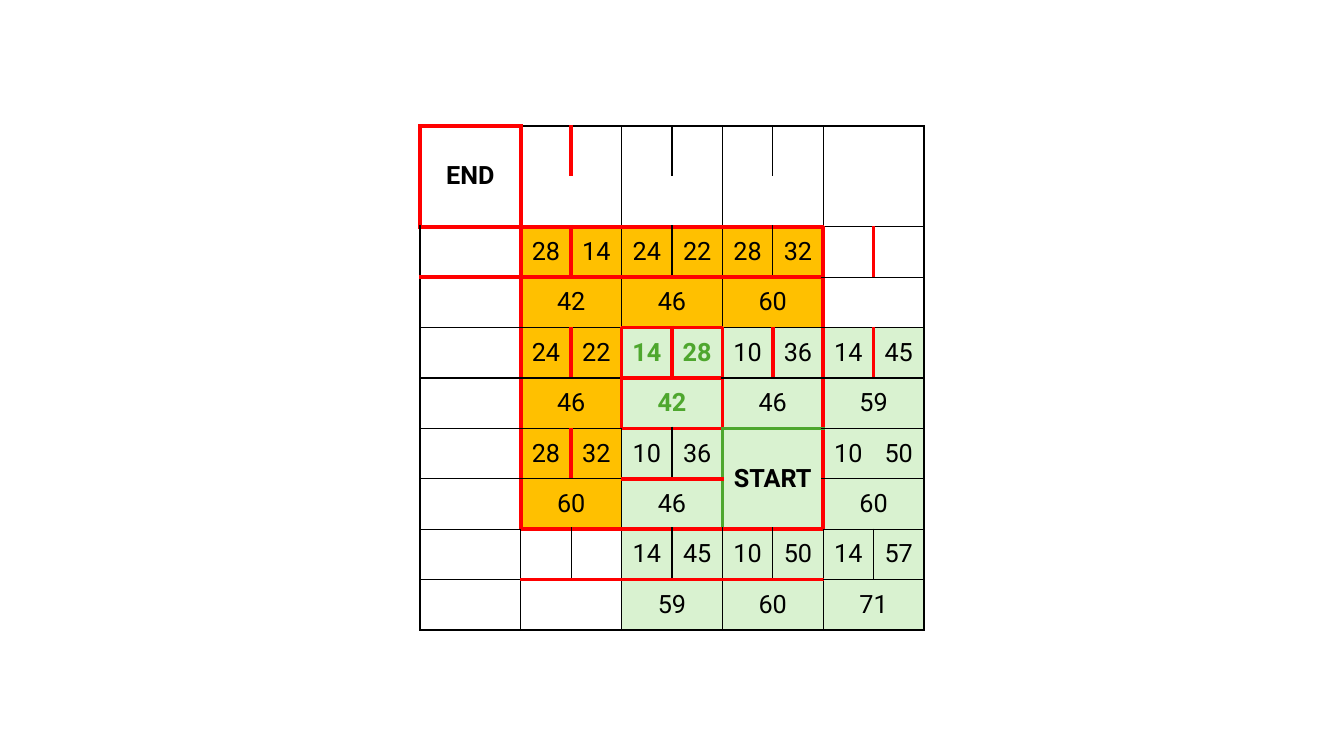
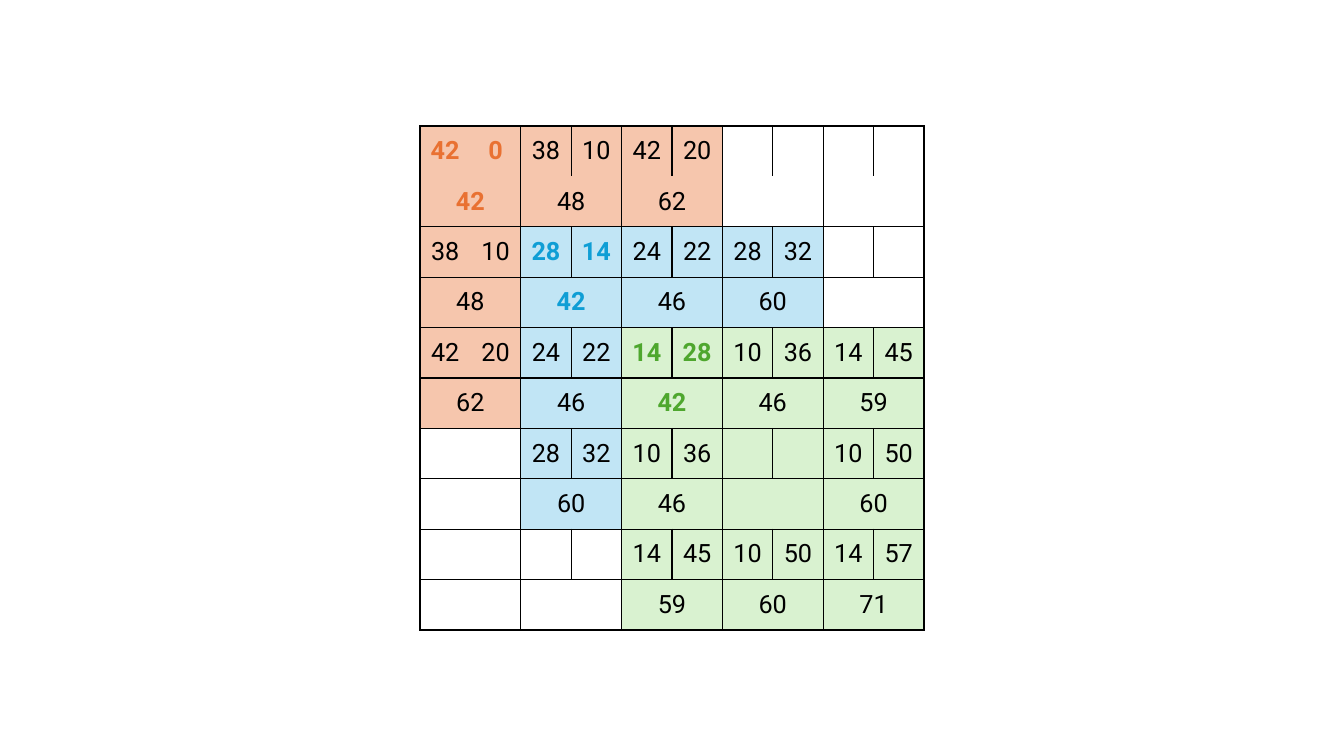
from collections import defaultdict
from dataclasses import dataclass, field

from lxml import etree
from pptx import Presentation
from pptx import util as u
from pptx.dml.color import RGBColor
from pptx.enum import text
from pptx.oxml import ns

BLACK, RED, GREEN = "000000", "FF0000", "4EA72E"
FONT = "Roboto"
TEXT_SIZE = 18
TILES = 5
CELL = 36
SIDE = TILES * 2 * CELL
SLIDE_W, SLIDE_H = 960, 540
START_POS, END_POS = (3, 3), (0, 0)
PLAIN_STYLE = "{2D5ABB26-0587-4C30-8999-92F81FD0307C}"


@dataclass
class Wave:
    fill: str
    scores: dict
    chosen: tuple | None = None
    accent: str = BLACK


@dataclass
class Tile:
    fill: str | None = None
    scores: tuple | None = None
    label: str = ""
    color: str = BLACK
    bold: bool = False


@dataclass
class Frame:
    row: int
    col: int
    span: int = 1
    color: str = BLACK
    width: float = 1


@dataclass
class Board:
    waves: list
    labels: dict = field(default_factory=dict)
    frames: list = field(default_factory=list)


FIRST_SCORES = {
    (2, 2): (14, 28), (2, 3): (10, 36), (2, 4): (14, 45),
    (3, 2): (10, 36), (3, 4): (10, 50),
    (4, 2): (14, 45), (4, 3): (10, 50), (4, 4): (14, 57),
}
SECOND_SCORES = {
    (1, 1): (28, 14), (1, 2): (24, 22), (1, 3): (28, 32),
    (2, 1): (24, 22), (3, 1): (28, 32),
}
THIRD_SCORES = {
    (0, 0): (42, 0), (0, 1): (38, 10), (0, 2): (42, 20),
    (1, 0): (38, 10), (2, 0): (42, 20),
}
FIRST_WAVE = Wave("D9F2D0", FIRST_SCORES, (2, 2), GREEN)

BOARDS = [
    Board(
        [FIRST_WAVE, Wave("FFC000", SECOND_SCORES)],
        {START_POS: "START", END_POS: "END"},
        [
            Frame(*START_POS, color=GREEN, width=3),
            Frame(2, 2, color=RED, width=3),
            Frame(1, 1, span=3, color=RED, width=3),
            Frame(*END_POS, color=RED, width=3),
        ],
    ),
    Board([
        FIRST_WAVE,
        Wave("C1E5F5", SECOND_SCORES, (1, 1), "0F9ED5"),
        Wave("F6C6AD", THIRD_SCORES, (0, 0), "E97132"),
    ]),
]


def rgb(color: str) -> RGBColor:
    return RGBColor.from_string(color)


def write(cell, content: str, *, color: str = BLACK, bold: bool = False) -> None:
    cell.vertical_anchor = text.MSO_ANCHOR.MIDDLE
    p = cell.text_frame.paragraphs[0]
    p.alignment = text.PP_ALIGN.CENTER
    r = p.add_run()
    r.text = content
    r.font.name = FONT
    r.font.size = u.Pt(TEXT_SIZE)
    r.font.bold = bold
    r.font.color.rgb = rgb(color)


def style_cell(cell, fill: str | None, borders: dict) -> None:
    tc_pr = cell._tc.get_or_add_tcPr()
    for side in "LRTB":
        if side in borders:
            color, width = borders[side]
            ln = etree.SubElement(tc_pr, ns.qn(f"a:ln{side}"), w=str(u.Pt(width)))
            solid = etree.SubElement(ln, ns.qn("a:solidFill"))
            etree.SubElement(solid, ns.qn("a:srgbClr"), val=color)
    if fill:
        cell.fill.solid()
        cell.fill.fore_color.rgb = rgb(fill)
    else:
        cell.fill.background()


def frame_edges(frames: list) -> dict:
    edges = defaultdict(dict)
    for f in frames:
        line = (f.color, f.width)
        last_row, last_col = f.row + f.span - 1, f.col + f.span - 1
        for i in range(f.span):
            row, col = f.row + i, f.col + i
            for pos, side in (
                ((f.row, col), "T"), ((f.row - 1, col), "B"),
                ((last_row, col), "B"), ((last_row + 1, col), "T"),
                ((row, f.col), "L"), ((row, f.col - 1), "R"),
                ((row, last_col), "R"), ((row, last_col + 1), "L"),
            ):
                edges[pos][side] = line
    return edges


def make_tiles(board: Board) -> dict:
    tiles = {(r, c): Tile() for r in range(TILES) for c in range(TILES)}
    for wave in board.waves:
        for pos, scores in wave.scores.items():
            chosen = pos == wave.chosen
            color = wave.accent if chosen else BLACK
            tiles[pos] = Tile(wave.fill, scores, color=color, bold=chosen)
    tiles[START_POS].fill = FIRST_WAVE.fill
    for pos, label in board.labels.items():
        tiles[pos].label, tiles[pos].bold = label, True
    return tiles


def draw_tile(tbl, row: int, col: int, tile: Tile, edges: dict) -> None:
    cells = {(r, c): tbl.cell(row * 2 + r, col * 2 + c) for r in (0, 1) for c in (0, 1)}
    touching = {(r, c): {"TB"[r], "LR"[c]} for r, c in cells}
    if tile.label:
        cells[0, 0].merge(cells[1, 1])
        touching[0, 0] = set("LRTB")
        write(cells[0, 0], tile.label, color=tile.color, bold=tile.bold)
    else:
        cells[1, 0].merge(cells[1, 1])
        touching[1, 0] = set("LRB")
    if tile.scores:
        values = (*tile.scores, sum(tile.scores))
        for pos, value in zip(((0, 0), (0, 1), (1, 0)), values):
            write(cells[pos], str(value), color=tile.color, bold=tile.bold)
    for pos, cell in cells.items():
        borders = {side: edges[side] for side in touching[pos]}
        style_cell(cell, tile.fill, borders)


def draw_board(s, board: Board) -> None:
    n = TILES * 2
    left, top = (SLIDE_W - SIDE) / 2, (SLIDE_H - SIDE) / 2
    sp = s.shapes.add_table(n, n, u.Pt(left), u.Pt(top), u.Pt(SIDE), u.Pt(SIDE))
    tbl = sp.table
    tbl.first_row = tbl.horz_banding = False
    tbl._tbl.tblPr.find(ns.qn("a:tableStyleId")).text = PLAIN_STYLE
    for column in tbl.columns:
        column.width = u.Pt(CELL)
    for line in tbl.rows:
        line.height = u.Pt(CELL)
    tiles = make_tiles(board)
    edges = frame_edges([Frame(*pos) for pos in tiles] + board.frames)
    for (row, col), tile in tiles.items():
        draw_tile(tbl, row, col, tile, edges[row, col])


def main() -> None:
    prs = Presentation()
    prs.slide_width, prs.slide_height = u.Pt(SLIDE_W), u.Pt(SLIDE_H)
    for board in BOARDS:
        draw_board(prs.slides.add_slide(prs.slide_layouts[6]), board)
    prs.save("out.pptx")


if __name__ == "__main__":
    main()
